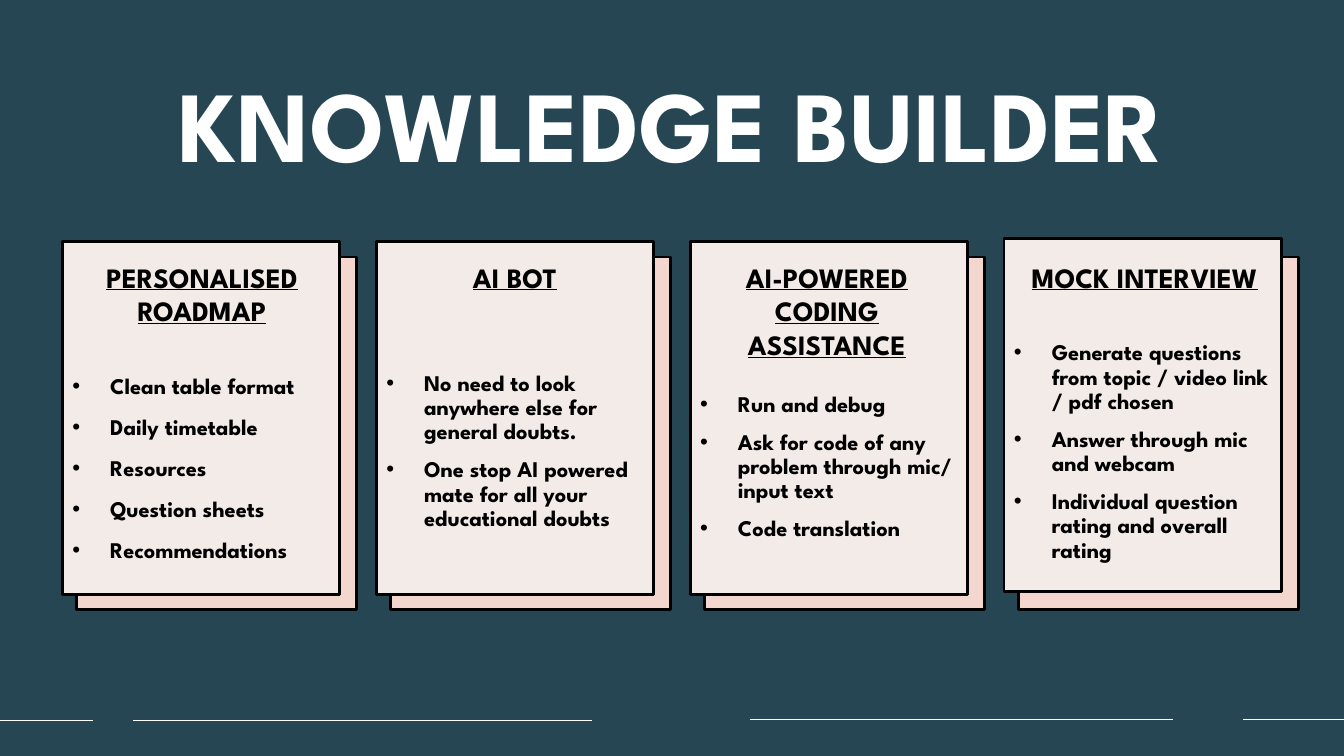
from lxml.etree import SubElement
from pptx import Presentation
from pptx.dml.color import RGBColor
from pptx.enum.shapes import MSO_CONNECTOR, MSO_SHAPE
from pptx.enum.text import MSO_ANCHOR, PP_ALIGN
from pptx.oxml.ns import qn
from pptx.util import Pt

COLORS = {
    "background": "264653",
    "card": "F3EBE8",
    "backing": "F3D6CD",
    "ink": "000000",
    "white": "FFFFFF",
}
FONT = "League Spartan"
CARD_LEFT, CARD_TOP, CARD_WIDTH, CARD_HEIGHT, CARD_PITCH = 44.6, 172.8, 198, 252, 224.2
CARDS = [
    {
        "heading": "PERSONALISED ROADMAP",
        "items": ["Clean table format", "Daily timetable", "Resources",
                  "Question sheets", "Recommendations"],
        "anchor": MSO_ANCHOR.BOTTOM, "inset_bottom": 22.7, "spacing": 1.0,
        "heading_shift": 0.7,
    },
    {
        "heading": "AI BOT",
        "items": ["No need to look anywhere else for general doubts.",
                  "One stop AI powered mate for all your educational doubts"],
        "anchor": MSO_ANCHOR.MIDDLE, "inset_top": 51,
    },
    {
        "heading": "AI-POWERED CODING ASSISTANCE",
        "items": ["Run and debug",
                  "Ask for code of any problem through mic/ input text",
                  "Code translation"],
        "anchor": MSO_ANCHOR.MIDDLE, "heading_shift": -1.4,
    },
    {
        "heading": "MOCK INTERVIEW",
        "items": ["Generate questions from topic / video link / pdf chosen",
                  "Answer through mic and webcam",
                  "Individual question rating and overall rating"],
        "lift": 2.2, "heading_shift": 1.4,
    },
]
FOOTER_LINES = [(0, 66.2, 514.8), (95, 422.6, 514.8), (535.7, 838, 514.1), (887.8, 960, 514.1)]


def color(name):
    """Return the named colour."""
    return RGBColor.from_string(COLORS[name])


def write_text(frame, lines, size, ink="ink", align=PP_ALIGN.LEFT, underline=False,
               bullet=False, spacing=None, before=0, anchor=MSO_ANCHOR.TOP,
               inset_top=3.6, inset_bottom=3.6):
    """Fill a text frame with one formatted paragraph per line."""
    frame.word_wrap = True
    frame.vertical_anchor = anchor
    frame.margin_left = frame.margin_right = Pt(7.2)
    frame.margin_top, frame.margin_bottom = Pt(inset_top), Pt(inset_bottom)
    for index, line in enumerate(lines):
        paragraph = frame.add_paragraph() if index else frame.paragraphs[0]
        paragraph.alignment = align
        paragraph.space_before = Pt(before)
        if spacing:
            paragraph.line_spacing = spacing
        if bullet:
            properties = paragraph._p.get_or_add_pPr()
            properties.set("marL", str(Pt(27)))
            properties.set("indent", str(Pt(-27)))
            SubElement(properties, qn("a:buFont")).set("typeface", "Arial")
            SubElement(properties, qn("a:buChar")).set("char", "•")
        run = paragraph.add_run()
        run.text = line
        run.font.name = FONT
        run.font.size = Pt(size)
        run.font.bold = True
        run.font.underline = underline
        run.font.color.rgb = color(ink)


def add_text(slide, left, top, width, height, text, **text_format):
    """Add a centred text box."""
    box = slide.shapes.add_textbox(Pt(left), Pt(top), Pt(width), Pt(height))
    write_text(box.text_frame, [text], align=PP_ALIGN.CENTER, **text_format)


def add_panel(slide, left, top, width, height, fill):
    """Add an outlined rectangle and return it."""
    shape = slide.shapes.add_shape(MSO_SHAPE.RECTANGLE, Pt(left), Pt(top), Pt(width), Pt(height))
    shape.shadow.inherit = False
    shape.fill.solid()
    shape.fill.fore_color.rgb = color(fill)
    shape.line.color.rgb = color("ink")
    shape.line.width = Pt(2)
    return shape


def add_card(slide, left, top, width, height, heading, items, anchor=MSO_ANCHOR.TOP,
             inset_top=73.4, inset_bottom=3.6, spacing=0.9, lift=0, heading_shift=0):
    """Add a card with its backing, bullet list and heading."""
    add_panel(slide, left + 10.1, top + 10.8, width + 2.2, height, "backing")
    card = add_panel(slide, left, top - lift, width, height, "card")
    write_text(card.text_frame, items, size=16, bullet=True, spacing=spacing, before=10,
               anchor=anchor, inset_top=inset_top, inset_bottom=inset_bottom)
    add_text(slide, left + heading_shift, top + 9.4, width, 26.6, heading,
             size=20, underline=True)


def add_footer(slide):
    """Add the broken white rule along the bottom."""
    for start, end, height in FOOTER_LINES:
        line = slide.shapes.add_connector(
            MSO_CONNECTOR.STRAIGHT, Pt(start), Pt(height), Pt(end), Pt(height))
        line.line.color.rgb = color("white")
        line.line.width = Pt(1)
        SubElement(line._element.spPr, qn("a:effectLst"))


def main():
    """Build and save the presentation."""
    presentation = Presentation()
    presentation.slide_width, presentation.slide_height = Pt(960), Pt(540)
    slide = presentation.slides.add_slide(presentation.slide_layouts[6])
    slide.background.fill.solid()
    slide.background.fill.fore_color.rgb = color("background")
    add_footer(slide)
    add_text(slide, 90, 40.3, 780.5, 80, "KNOWLEDGE BUILDER", size=72, ink="white")
    for index, card in enumerate(CARDS):
        add_card(slide, CARD_LEFT + index * CARD_PITCH, CARD_TOP, CARD_WIDTH, CARD_HEIGHT, **card)
    presentation.save("out.pptx")


if __name__ == "__main__":
    main()
